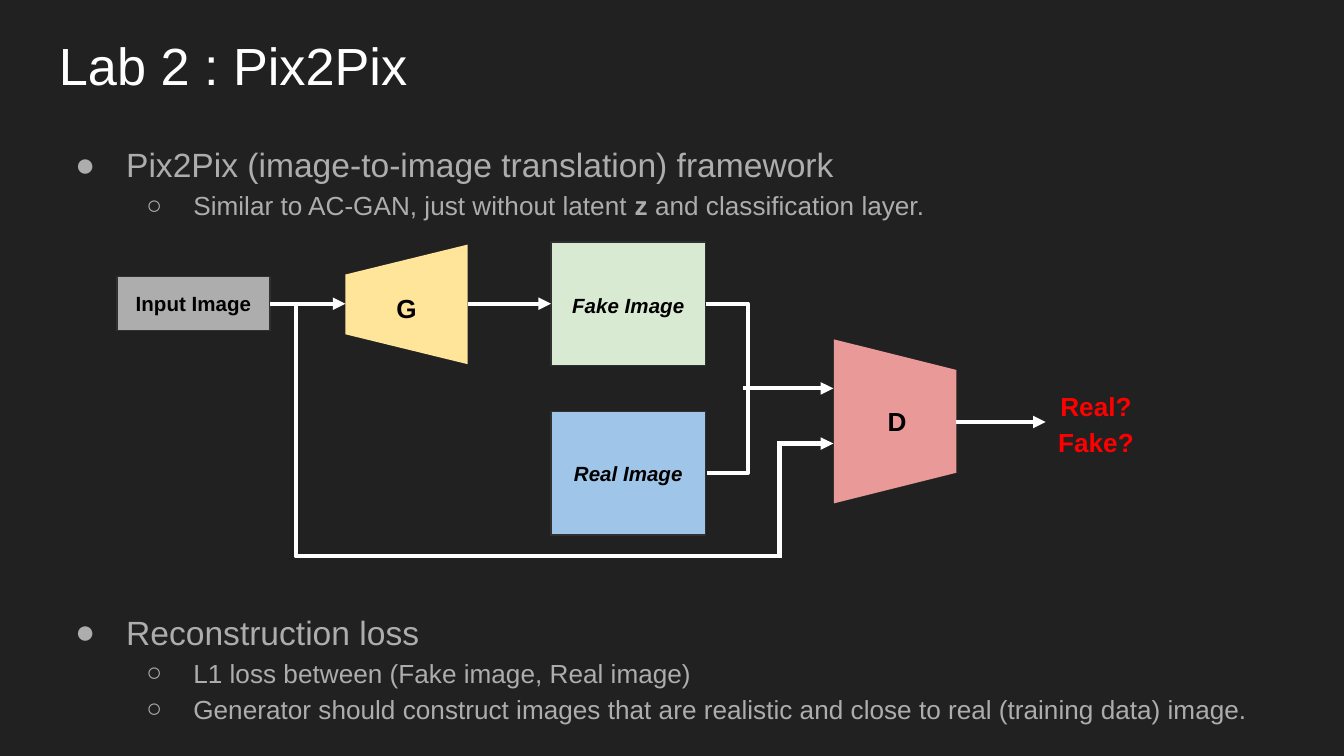
from dataclasses import dataclass

from lxml.etree import SubElement
from pptx import Presentation
from pptx.dml.color import RGBColor
from pptx.enum.shapes import MSO_CONNECTOR, MSO_SHAPE
from pptx.enum.text import MSO_ANCHOR, PP_ALIGN
from pptx.oxml.ns import qn
from pptx.util import Inches, Pt


@dataclass(frozen=True)
class Theme:
    font: str = "Arial"
    background: str = "212121"
    title: str = "FFFFFF"
    body: str = "ADADAD"
    label: str = "000000"
    verdict: str = "FF0000"
    wire: str = "FFFFFF"
    border: str = "303030"
    input: str = "ADADAD"
    fake: str = "D9EAD3"
    real: str = "9FC5E8"
    generator: str = "FFE599"
    discriminator: str = "EA9999"
    title_size: int = 28
    level_sizes: tuple = (18, 14)
    symbol_size: int = 14
    label_size: int = 11
    wire_width: float = 2.25
    border_width: float = 0.75


BULLETS = (("●", 0.5, -0.38), ("○", 1, -0.35))


def rgb(value):
    return RGBColor.from_string(value)


def add_text(p, text, *, font, size, color, bold=False, italic=False):
    for i, line in enumerate(text.split("\n")):
        if i:
            p.add_line_break()
        r = p.add_run()
        r.text = line
        r.font.name = font
        r.font.size = Pt(size)
        r.font.color.rgb = rgb(color)
        r.font.bold = bold
        r.font.italic = italic


class SlideBuilder:
    def __init__(self, prs, theme):
        self.theme = theme
        self.s = prs.slides.add_slide(prs.slide_layouts[6])
        fill = self.s.background.fill
        fill.solid()
        fill.fore_color.rgb = rgb(theme.background)

    def frame(self, box, anchor=MSO_ANCHOR.TOP):
        tf = self.s.shapes.add_textbox(*map(Inches, box)).text_frame
        tf.word_wrap = True
        tf.vertical_anchor = anchor
        tf.margin_left = tf.margin_right = Inches(0.1)
        tf.margin_top = tf.margin_bottom = Inches(0.1)
        return tf

    def title(self, box, text):
        p = self.frame(box).paragraphs[0]
        add_text(p, text, font=self.theme.font, size=self.theme.title_size,
                 color=self.theme.title)

    def bullets(self, box, items):
        tf = self.frame(box)
        for i, (level, runs) in enumerate(items):
            p = tf.add_paragraph() if i else tf.paragraphs[0]
            p.level = level
            p.line_spacing = 1.15
            char, margin, indent = BULLETS[level]
            pPr = p._p.get_or_add_pPr()
            pPr.set("marL", str(Inches(margin)))
            pPr.set("indent", str(Inches(indent)))
            color = SubElement(pPr, qn("a:buClr"))
            SubElement(color, qn("a:srgbClr"), val=self.theme.body)
            SubElement(pPr, qn("a:buFont"), typeface=self.theme.font)
            SubElement(pPr, qn("a:buChar"), char=char)
            for text, bold in runs:
                add_text(p, text, font=self.theme.font, color=self.theme.body,
                         size=self.theme.level_sizes[level], bold=bold)

    def label(self, box, text, size, color=None, italic=False, spacing=1.0):
        p = self.frame(box, MSO_ANCHOR.MIDDLE).paragraphs[0]
        p.alignment = PP_ALIGN.CENTER
        p.line_spacing = spacing
        add_text(p, text, font=self.theme.font, size=size, bold=True,
                 color=color or self.theme.label, italic=italic)

    def shape(self, kind, box, fill):
        sp = self.s.shapes.add_shape(kind, *map(Inches, box))
        sp.shadow.inherit = False
        sp.fill.solid()
        sp.fill.fore_color.rgb = rgb(fill)
        return sp

    def block(self, box, fill):
        sp = self.shape(MSO_SHAPE.RECTANGLE, box, fill)
        sp.line.color.rgb = rgb(self.theme.border)
        sp.line.width = Pt(self.theme.border_width)
        return sp

    def network(self, box, fill, rotation):
        sp = self.shape(MSO_SHAPE.TRAPEZOID, box, fill)
        sp.adjustments[0] = 0.25
        sp.rotation = rotation
        sp.line.fill.background()

    def wire(self, start, end, kind=MSO_CONNECTOR.STRAIGHT, arrow=False):
        cxn = self.s.shapes.add_connector(kind, *map(Inches, (*start, *end)))
        cxn.line.color.rgb = rgb(self.theme.wire)
        cxn.line.width = Pt(self.theme.wire_width)
        if arrow:
            SubElement(cxn.line._get_or_add_ln(), qn("a:tailEnd"), type="triangle")
        SubElement(cxn._element.spPr, qn("a:effectLst"))
        return cxn

    def arrow(self, start, end):
        return self.wire(start, end, arrow=True)

    def elbow(self, start, end, bend):
        cxn = self.wire(start, end, MSO_CONNECTOR.ELBOW)
        geom = cxn._element.spPr.find(qn("a:prstGeom"))
        guides = geom.find(qn("a:avLst"))
        if guides is None:
            guides = SubElement(geom, qn("a:avLst"))
        SubElement(guides, qn("a:gd"), name="adj1", fmla=f"val {round(bend * 100000)}")


def main():
    prs = Presentation()
    prs.slide_width = Inches(10)
    prs.slide_height = prs.slide_width * 9 // 16
    theme = Theme()
    s = SlideBuilder(prs, theme)

    s.title((0.34, 0.15, 9.32, 0.63), "Lab 2 : Pix2Pix")
    s.bullets((0.34, 0.93, 9.32, 0.84), [
        (0, [("Pix2Pix (image-to-image translation) framework", False)]),
        (1, [("Similar to AC-GAN, just without latent ", False), ("z", True),
             (" and classification layer.", False)]),
    ])

    input_block = s.block((0.87, 2.06, 1.14, 0.4), theme.input)
    fake_block = s.block((4.1, 1.8, 1.15, 0.92), theme.fake)
    s.block((4.1, 3.06, 1.15, 0.92), theme.real)
    s.elbow((5.25, 2.26), (5.26, 3.52), bend=32)
    s.network((2.58, 1.81, 0.89, 0.91), theme.generator, 270)
    s.network((6.05, 2.68, 1.22, 0.91), theme.discriminator, 90)

    s.arrow((2.01, 2.26), (2.57, 2.26)).begin_connect(input_block, 3)
    s.arrow((3.48, 2.26), (4.1, 2.26)).end_connect(fake_block, 1)
    s.arrow((5.53, 2.89), (6.2, 2.89))
    s.label((2.57, 2.09, 0.91, 0.41), "G", theme.symbol_size)
    s.label((6.22, 2.93, 0.91, 0.41), "D", theme.symbol_size)
    s.label((7.7, 2.78, 0.91, 0.72), "Real?\nFake?", theme.symbol_size,
            color=theme.verdict, spacing=1.15)
    s.arrow((7.11, 3.14), (7.78, 3.14))
    for top, text in ((2.07, "Fake Image"), (3.32, "Real Image")):
        s.label((4.02, top, 1.31, 0.41), text, theme.label_size, italic=True)
    s.label((0.89, 2.05, 1.1, 0.41), "Input Image", theme.label_size)
    s.elbow((2.2, 2.26), (5.79, 4.14), bend=0)
    s.arrow((5.78, 3.3), (6.2, 3.3))
    s.wire((5.8, 3.3), (5.8, 4.15))

    s.bullets((0.34, 4.41, 9.32, 1.09), [
        (0, [("Reconstruction loss", False)]),
        (1, [("L1 loss between (Fake image, Real image)", False)]),
        (1, [("Generator should construct images that are realistic and close "
              "to real (training data) image.", False)]),
    ])
    prs.save("out.pptx")


if __name__ == "__main__":
    main()
